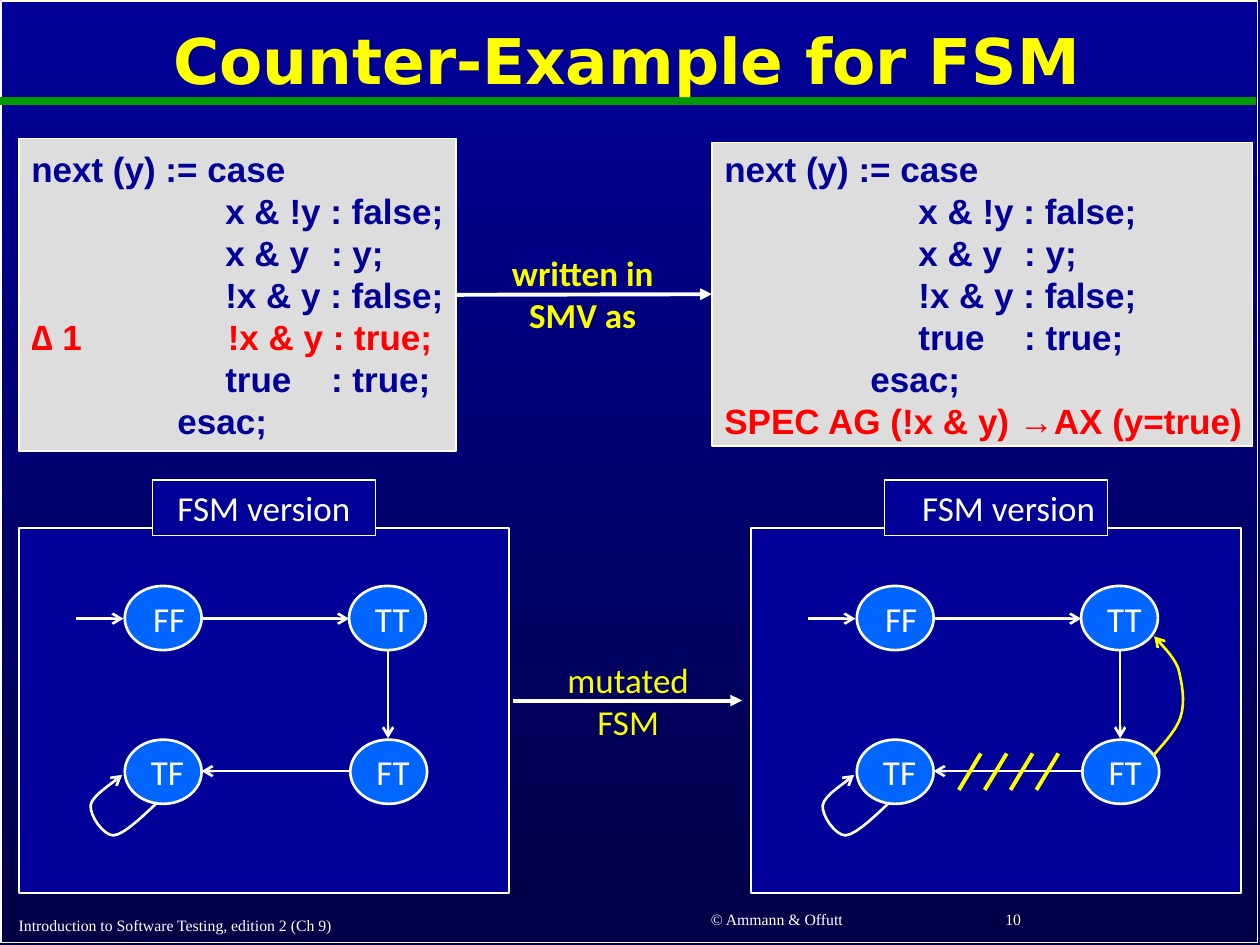
from lxml.etree import SubElement
from pptx import Presentation
from pptx.dml.color import RGBColor
from pptx.enum.shapes import MSO_CONNECTOR as Link, MSO_SHAPE as Preset
from pptx.enum.text import MSO_ANCHOR as Anchor, MSO_AUTO_SIZE as Fit, PP_ALIGN as Align
from pptx.oxml.ns import qn
from pptx.util import Inches, Pt

WHITE, NAVY, RED, YELLOW = "FFFFFF", "000099", "FF0000", "FFFF00"
LEMON, GREY, BLUE, GREEN = "FAFD00", "DDDDDD", "0066FF", "009900"
COLUMNS = 100  # square grid: 100 columns by 75 rows
SECOND_PANEL = 58.1  # columns from the first panel to the second
STATES = {"FF": (9.9, 46.5), "TT": (27.7, 46.5), "TF": (9.9, 58.7), "FT": (27.8, 58.7)}
LABELS = {"FF": (11, 4.7), "TT": (28.1, 5.4), "TF": (10.6, 5), "FT": (28.5, 5)}
TRANSITIONS = [(6, 49.1, 9.8, 49.1), (16, 49.1, 27.7, 49.1),
               (30.8, 51.7, 30.8, 58.6), (27.8, 61.2, 16, 61.2)]
SELF_LOOP = [(12.5, 63.7), (11.9, 64.2), (9.9, 66.3), (9, 66.3), (8.2, 66.3),
             (7.1, 64.7), (7.2, 63.9), (7.3, 63.1), (9.2, 62), (9.7, 61.5)]
RETURN_CURVE = [(91.5, 60), (91.9, 59.5), (93.4, 58), (93.7, 56.9), (94.1, 55.7),
                (93.8, 54.1), (93.5, 53), (93.1, 52), (92, 51), (91.6, 50.5)]

# Code lines: text, colour, tab stops in columns
CASE, DONE = (15.4, 23.8), (11.6,)
HEAD = [("next (y) := case", NAVY, ()), ("\tx & !y : false;", NAVY, CASE),
        ("\tx & y\t: y;", NAVY, CASE), ("\t!x & y : false;", NAVY, CASE)]
TAIL = [("\ttrue\t: true;", NAVY, CASE), ("\tesac;", NAVY, DONE)]
MUTANT = [("∆ 1\t!x & y : true;", RED, (15.6,))]
CLAIM = [("SPEC AG (!x & y) →AX (y=true)", RED, ())]


def color(value):
    return RGBColor.from_string(value)


def curve_points(points, steps=8):
    """Points along a chain of cubic curves."""
    for start in range(0, len(points) - 1, 3):
        corners = points[start:start + 4]
        for step in range(1, steps + 1):
            t = step / steps
            weights = ((1 - t) ** 3, 3 * t * (1 - t) ** 2, 3 * t * t * (1 - t), t ** 3)
            yield tuple(sum(w * corner[axis] for w, corner in zip(weights, corners))
                        for axis in (0, 1))


class Board:
    """Holds the style and the current slide; lengths are grid cells."""

    def __init__(self, deck):
        self.cell = deck.slide_width / COLUMNS
        self.slide = deck.slides.add_slide(deck.slide_layouts[6])
        self.shapes = self.slide.shapes
        self.style = {"name": "Calibri", "size": Pt(20), "bold": False}

    def grid(self, *cells):
        return [round(cell * self.cell) for cell in cells]

    def background(self, *stops):
        fill = self.slide.background.fill
        fill.gradient()
        fill.gradient_angle = 270
        for place, (stop, value) in enumerate(zip(fill.gradient_stops, stops)):
            stop.position = place
            stop.color.rgb = color(value)

    def outline(self, shape, stroke, width, head=None):
        shape.line.color.rgb = color(stroke)
        shape.line.width = Pt(width)
        if head:
            SubElement(shape.line._get_or_add_ln(), qn("a:tailEnd"), type=head)

    def shape(self, at, fill=None, width=1, preset=Preset.RECTANGLE):
        shape = self.shapes.add_shape(preset, *self.grid(*at))
        shape.shadow.inherit = False
        if fill:
            shape.fill.solid()
            shape.fill.fore_color.rgb = color(fill)
        else:
            shape.fill.background()
        self.outline(shape, WHITE, width)
        return shape

    def fill_text(self, box, lines, align=Align.LEFT, anchor=Anchor.TOP, frame=None, **font):
        settings = {"word_wrap": True, "vertical_anchor": anchor, **(frame or {})}
        for name, value in settings.items():
            setattr(box.text_frame, name, value)
        for number, (text, ink, stops) in enumerate(lines):
            para = box.text_frame.add_paragraph() if number else box.text_frame.paragraphs[0]
            para.alignment = align
            if stops:
                tabs = SubElement(para._p.get_or_add_pPr(), qn("a:tabLst"))
                for stop in self.grid(*stops):
                    SubElement(tabs, qn("a:tab"), pos=str(stop), algn="l")
            span = para.add_run()
            span.text = text
            for name, value in {**self.style, **font}.items():
                setattr(span.font, name, value)
            span.font.color.rgb = color(ink)

    def text(self, at, words, ink=WHITE, **options):
        box = self.shapes.add_textbox(*self.grid(*at))
        self.fill_text(box, [(words, ink, ())], **options)
        return box

    def code(self, at, lines):
        box = self.shape(at, GREY)
        self.fill_text(box, lines, anchor=Anchor.MIDDLE, frame={"margin_right": 0},
                       name="Arial", bold=True)
        return box

    def line(self, ends, stroke=WHITE, width=1.5, head=None):
        line = self.shapes.add_connector(Link.STRAIGHT, *self.grid(*ends))
        SubElement(line._element.spPr, qn("a:effectLst"))
        self.outline(line, stroke, width, head)
        return line

    def curve(self, points, stroke=WHITE):
        builder = self.shapes.build_freeform(*self.grid(*points[0]))
        builder.add_line_segments([self.grid(*point) for point in curve_points(points)],
                                  close=False)
        shape = builder.convert_to_shape()
        shape.shadow.inherit = False
        shape.fill.background()
        self.outline(shape, stroke, 1.5, "arrow")

    def machine(self, shift, title_align):
        """State machine panel with its title tab."""
        self.shape((1.5 + shift, 41.9, 38.9, 29), NAVY)
        for name, (left, top) in STATES.items():
            self.shape((left + shift, top, 6.1, 5.1), BLUE, 1.5, Preset.OVAL)
            label_left, width = LABELS[name]
            self.text((label_left + shift, top + 0.4, width, 4.4), name, align=Align.RIGHT,
                      frame={"word_wrap": False, "auto_size": Fit.SHAPE_TO_FIT_TEXT})
        for x1, y1, x2, y2 in TRANSITIONS:
            self.line((x1 + shift, y1, x2 + shift, y2), head="arrow")
        self.curve([(x + shift, y) for x, y in SELF_LOOP])
        tab = self.shape((12.1 + shift, 38.1, 17.7, 4.4), NAVY)
        self.fill_text(tab, [("FSM version", WHITE, ())], align=title_align)


def main():
    deck = Presentation()
    deck.slide_width, deck.slide_height = Inches(10), Inches(7.5)
    board = Board(deck)

    # Backdrop, title and footer
    board.background(NAVY, "000047")
    board.shape((0.1, 0.1, 99.7, 74.7))
    board.line((0, 8, 99.7, 8), GREEN, 4.5)
    title = board.text((0, 1.1, 99.5, 7.9), "Counter-Example for FSM", YELLOW,
                       align=Align.CENTER, anchor=Anchor.MIDDLE,
                       name="DejaVu Sans", size=Pt(36), bold=True)
    title.text_frame.paragraphs[0].line_spacing = 0.9
    footer = {"anchor": Anchor.BOTTOM, "name": "Times New Roman", "size": Pt(9)}
    board.text((45.8, 71.4, 31.7, 2.8), "© Ammann & Offutt", align=Align.CENTER, **footer)
    board.text((78.8, 71.3, 20.8, 2.9), "10", **footer)
    board.text((0.5, 71.6, 44.2, 3.1),
               "Introduction to Software Testing, edition 2 (Ch 9)", **footer)

    # Code before and after, joined by an arrow
    before = board.code((1.5, 11, 34.7, 24.8), HEAD + MUTANT + TAIL)
    after = board.code((56.5, 11.3, 42.9, 24.1), HEAD + TAIL + CLAIM)
    board.text((38.8, 19.5, 14.9, 7.7), "written in SMV as", LEMON,
               align=Align.CENTER, bold=True)
    arrow = board.line((36.2, 23.4, 56.5, 23.4), width=2.25, head="triangle")
    arrow.begin_connect(before, 3)
    arrow.end_connect(after, 1)

    # State machines
    board.machine(0, Align.CENTER)
    board.machine(SECOND_PANEL, Align.RIGHT)

    # Mutation: struck-out transition and its replacement
    for number in range(4):
        left = 76.1 + 2.05 * number
        board.line((left + 1.75, 59.8, left, 62.7), YELLOW, 2.25)
    board.curve(RETURN_CURVE, YELLOW)
    board.text((42.4, 51.8, 14.9, 7.7), "mutated FSM", LEMON, align=Align.CENTER)
    board.line((40.7, 55.6, 58.9, 55.6), width=2.25, head="triangle")

    deck.save("out.pptx")


if __name__ == "__main__":
    main()
